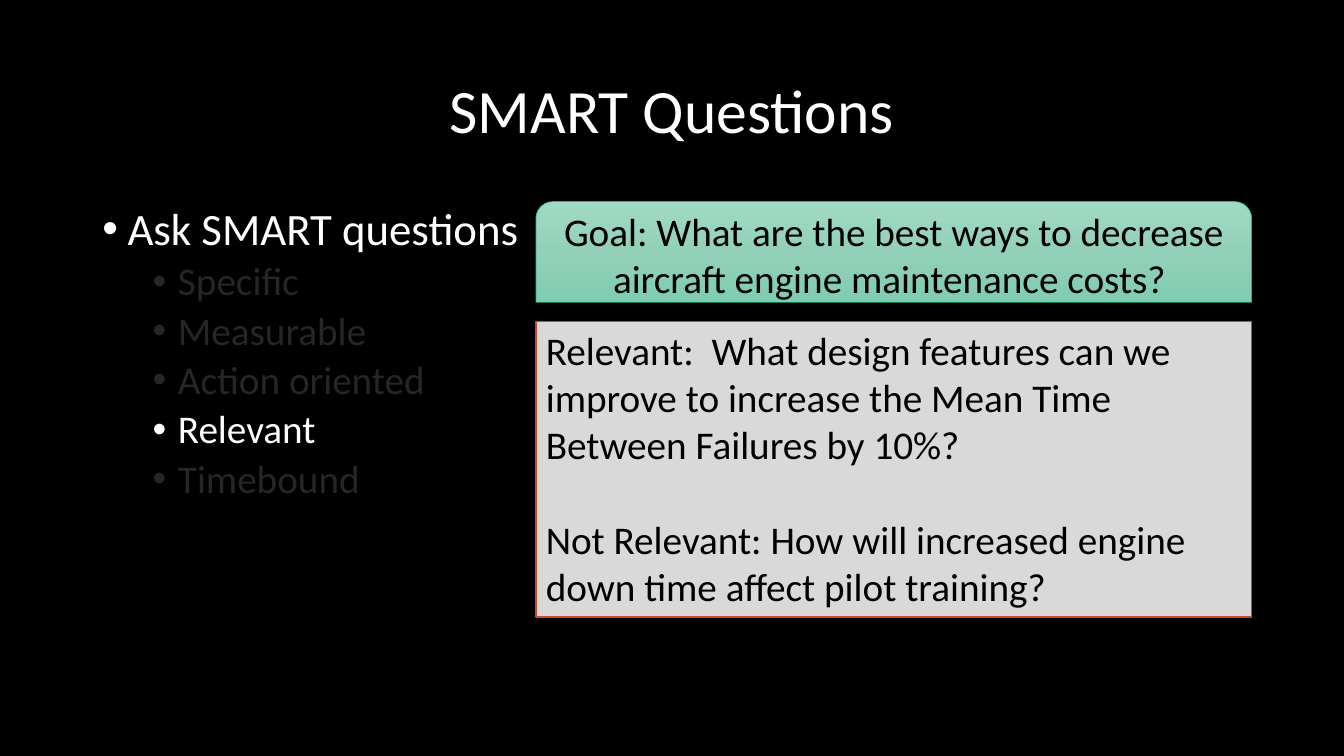
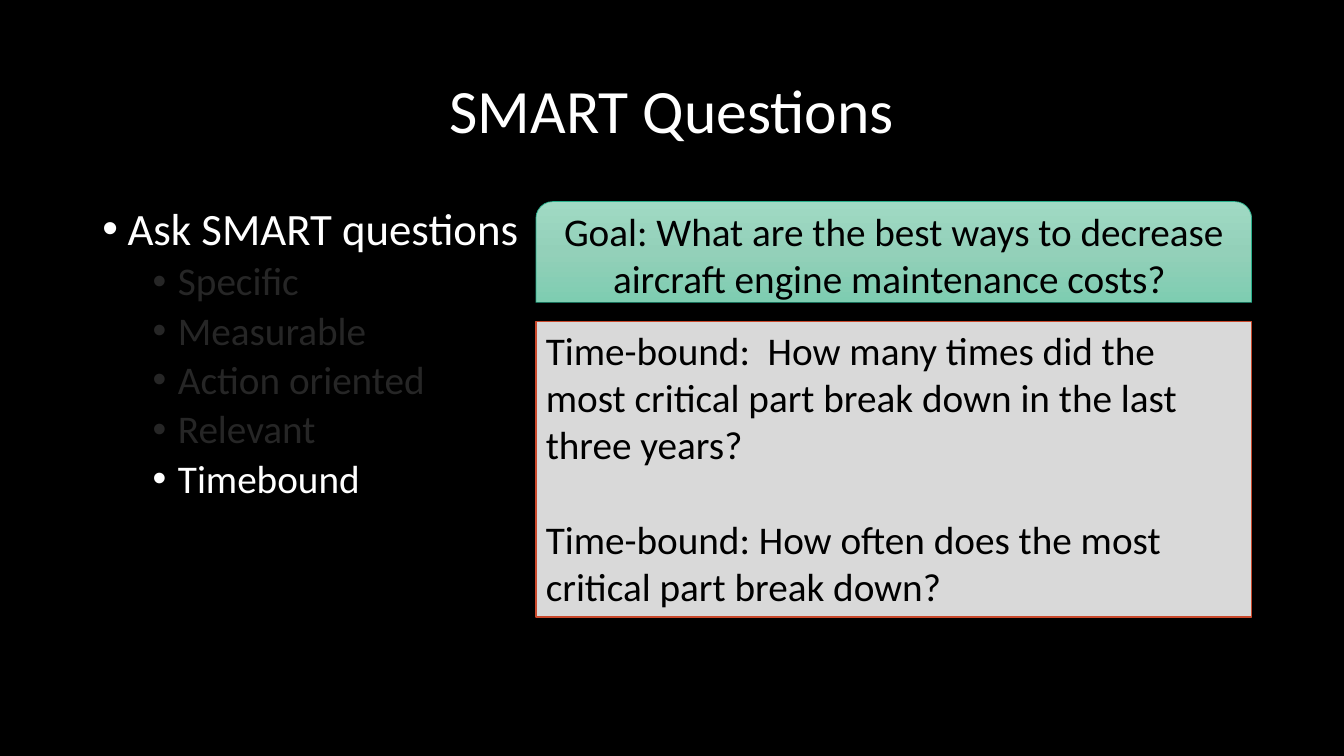
from copy import deepcopy

from pptx import Presentation
from pptx import util as u
from pptx.dml.color import RGBColor
from pptx.enum import shapes, text
from pptx.oxml.ns import qn
from lxml import etree

BLACK = RGBColor(0x00, 0x00, 0x00)
WHITE = RGBColor(0xFF, 0xFF, 0xFF)
DIM = RGBColor(0x26, 0x26, 0x26)
GREY = RGBColor(0xD9, 0xD9, 0xD9)
RUST = RGBColor(0xC9, 0x49, 0x2C)
GREEN = RGBColor(0x29, 0xAF, 0x8C)
MINTS = [RGBColor(0xA0, 0xDA, 0xC4), RGBColor(0x93, 0xD0, 0xB9),
         RGBColor(0x7E, 0xCD, 0xB1)]
FONT = "Calibri"
BIG, MID, BASE = 44, 32, 28

# Grid of 80 columns and 75 rows
WIDE, HIGH = u.Inches(13.33), u.Inches(7.5)
COL, ROW = WIDE / 80, HIGH / 75

# Boxes as left column, top row, columns, rows
HEAD = (5.5, 4, 69, 14.5)
LIST = (5.5, 20, 69, 47.6)
GOAL = (31.9, 20, 42.6, 10)
CARD = (31.9, 31.9, 42.6, 29.3)

TITLE = "SMART Questions"
LEAD = "Ask SMART questions"
TERMS = ["Specific", "Measurable", "Action oriented", "Relevant", "Timebound"]
AIM = "Goal: What are the best ways to decrease aircraft engine maintenance costs? "
PAGES = [
    ("Relevant", [
        "Relevant:  What design features can we improve to increase "
        "the Mean Time Between Failures by 10%?",
        "Not Relevant: How will increased engine down time affect "
        "pilot training?"]),
    ("Timebound", [
        "Time-bound:  How many times did the most critical part break "
        "down in the last three years?",
        "Time-bound: How often does the most critical part break down?"]),
]


def place(box):
    x, y, w, h = box
    return [u.Emu(round(n)) for n in (x * COL, y * ROW, w * COL, h * ROW)]


def frame(shape, anchor):
    body = shape.text_frame
    body.word_wrap = True
    body.vertical_anchor = anchor
    return body


def write(body, words, size, color, align=text.PP_ALIGN.LEFT):
    """Fill the first free paragraph with one run."""
    para = body.paragraphs[0]
    if para.runs:
        para = body.add_paragraph()
    para.alignment = align
    run = para.add_run()
    run.text = words
    run.font.name = FONT
    run.font.size = u.Pt(size)
    run.font.color.rgb = color
    return para


def bullet(para, left, gap):
    para.line_spacing = 0.9
    para.space_before = u.Pt(gap)
    props = para._p.get_or_add_pPr()
    props.set("marL", str(u.Inches(left)))
    props.set("indent", str(u.Inches(-0.25)))
    etree.SubElement(props, qn("a:buFont")).set("typeface", "Arial")
    etree.SubElement(props, qn("a:buChar")).set("char", "•")


def panel(slide, kind, box, line, width):
    shape = slide.shapes.add_shape(kind, *place(box))
    shape.shadow.inherit = False
    shape.line.color.rgb = line
    shape.line.width = u.Pt(width)
    return shape


def shade(fill, shape):
    """Blend the three mints from top to bottom."""
    fill.gradient()
    fill.gradient_angle = 270
    stops = shape._element.spPr.find(".//" + qn("a:gsLst"))
    stops.insert(1, deepcopy(stops[0]))
    for i, (stop, mint) in enumerate(zip(fill.gradient_stops, MINTS)):
        stop.position = i / 2
        stop.color.rgb = mint


def header(slide, box):
    body = frame(slide.shapes.add_textbox(*place(box)), text.MSO_ANCHOR.MIDDLE)
    para = write(body, TITLE, BIG, WHITE, text.PP_ALIGN.CENTER)
    para.line_spacing = 0.9


def outline(slide, box, focus):
    body = frame(slide.shapes.add_textbox(*place(box)), text.MSO_ANCHOR.TOP)
    bullet(write(body, LEAD, MID, WHITE), 0.25, 10)
    for term in TERMS:
        para = write(body, term, BASE, WHITE if term == focus else DIM)
        para.level = 1
        bullet(para, 0.75, 5)


def card(slide, box, lines):
    shape = panel(slide, shapes.MSO_SHAPE.RECTANGLE, box, RUST, 1)
    shape.fill.solid()
    shape.fill.fore_color.rgb = GREY
    body = frame(shape, text.MSO_ANCHOR.TOP)
    for i, words in enumerate(lines):
        para = write(body, words, BASE, BLACK)
        # One open line between the examples
        para.space_before = u.Pt(34 if i else 0)


def goal(slide, box):
    kind = shapes.MSO_SHAPE.ROUND_2_SAME_RECTANGLE
    shape = panel(slide, kind, box, GREEN, 0.5)
    shade(shape.fill, shape)
    body = frame(shape, text.MSO_ANCHOR.MIDDLE)
    write(body, AIM, BASE, BLACK, text.PP_ALIGN.CENTER)


def main():
    deck = Presentation()
    deck.slide_width, deck.slide_height = WIDE, HIGH
    back = deck.slide_master.background.fill
    back.solid()
    back.fore_color.rgb = BLACK
    for focus, lines in PAGES:
        slide = deck.slides.add_slide(deck.slide_layouts[6])
        header(slide, HEAD)
        outline(slide, LIST, focus)
        card(slide, CARD, lines)
        goal(slide, GOAL)
    deck.save("out.pptx")


if __name__ == "__main__":
    main()
